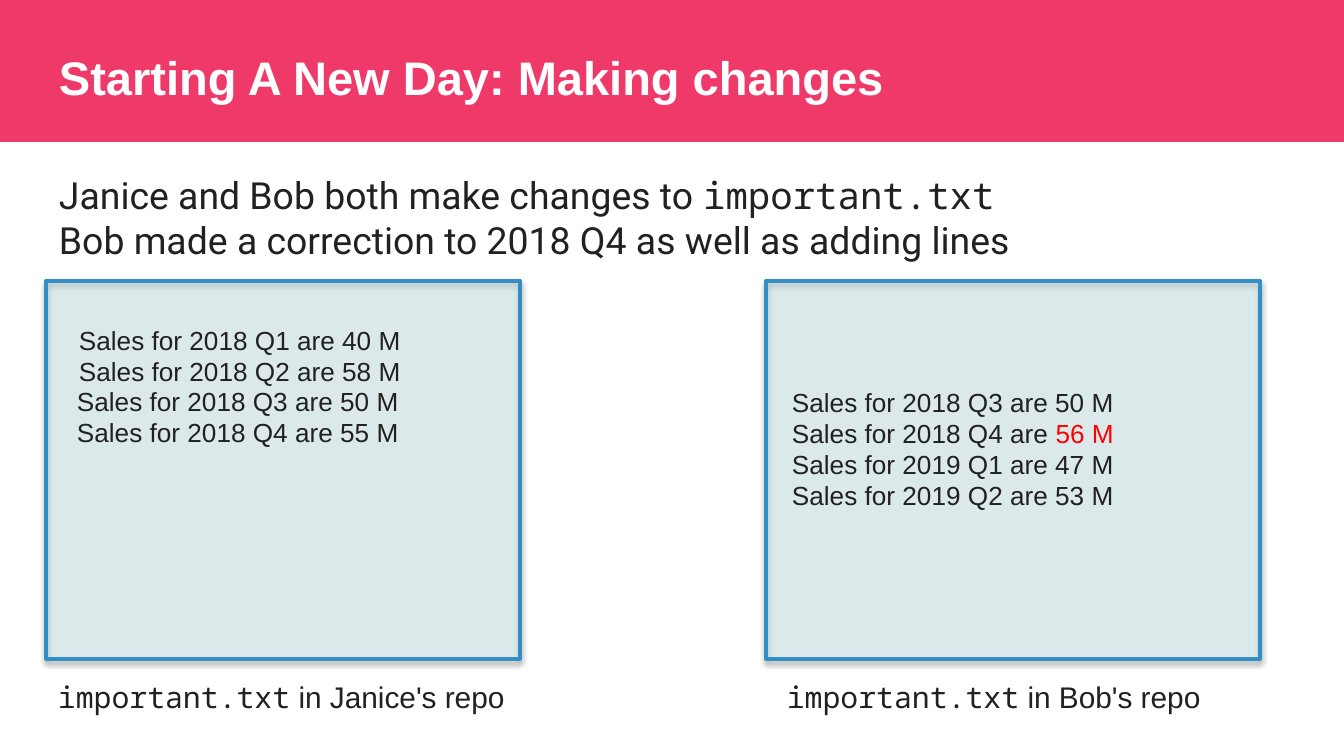
"""Build the slide on two people changing the same file in their repositories."""
import pptx
import pptx.dml.color
import pptx.enum.shapes
import pptx.enum.text
import pptx.oxml
import pptx.oxml.ns
import pptx.util

COLORS = {"banner": "EF3969", "panel": "B8ECF3", "border": "328EC4",
          "text": "212121", "title": "FFFFFF", "changed": "FF0000"}
SANS, BODY, MONO = "Arial", "Roboto", "Noto Sans Mono"
EMU_PER_PX = 914400 / 134.4
WIDTH, HEIGHT = 1344, 756

TITLE = "Starting A New Day: Making changes"
FILE_NAME = ("important.txt", {"font": MONO})
INTRO = [
    ["Janice and Bob both make changes to ", FILE_NAME],
    ["Bob made a correction to 2018 Q4 as well as adding lines"],
]
PANELS = [(766, 281, 494, 378), (46, 281, 474, 378)]
CAPTIONS = [
    ((51, 672, 469, 50), [[FILE_NAME, " in Janice's repo"]]),
    ((780, 672, 481, 50), [[FILE_NAME, " in Bob's repo"]]),
]
SALES = [
    ((70, 378), [["Sales for 2018 Q3 are 50 M"], ["Sales for 2018 Q4 are 55 M"]]),
    ((785, 379), [["Sales for 2018 Q3 are 50 M"],
                  ["Sales for 2018 Q4 are ", ("56 M", {"color": "changed"})]]),
    ((72, 317), [["Sales for 2018 Q1 are 40 M"], ["Sales for 2018 Q2 are 58 M"]]),
    ((785, 441), [["Sales for 2019 Q1 are 47 M"], ["Sales for 2019 Q2 are 53 M"]]),
]
SALES_SIZE = (474, 77)


def px(value):
    return pptx.util.Emu(round(value * EMU_PER_PX))


def rgb(name):
    return pptx.dml.color.RGBColor.from_string(COLORS[name])


def set_alpha(color_element, percent):
    alpha = pptx.oxml.ns.qn("a:alpha")
    color_element.append(color_element.makeelement(alpha, {"val": str(percent * 1000)}))


def write_text(shape, paragraphs, *, size, font=SANS, color="text", bold=False,
               insets=(7, 7), anchor=pptx.enum.text.MSO_ANCHOR.TOP):
    frame = shape.text_frame
    frame.word_wrap = True
    frame.auto_size = pptx.enum.text.MSO_AUTO_SIZE.NONE
    frame.vertical_anchor = anchor
    frame.margin_left = frame.margin_right = px(insets[0])
    frame.margin_top = frame.margin_bottom = px(insets[1])
    for index, runs in enumerate(paragraphs):
        paragraph = frame.add_paragraph() if index else frame.paragraphs[0]
        paragraph.alignment = pptx.enum.text.PP_ALIGN.LEFT
        for item in runs:
            text, changes = (item, {}) if isinstance(item, str) else item
            run = paragraph.add_run()
            run.text = text
            run.font.name = changes.get("font", font)
            run.font.size = pptx.util.Pt(size)
            run.font.bold = bold
            run.font.color.rgb = rgb(changes.get("color", color))


def add_text(slide, box, paragraphs, **text_format):
    shape = slide.shapes.add_textbox(*map(px, box))
    write_text(shape, paragraphs, **text_format)


def add_rectangle(slide, box, color):
    shape = slide.shapes.add_shape(
        pptx.enum.shapes.MSO_SHAPE.RECTANGLE, *map(px, box))
    shape.shadow.inherit = False
    shape.fill.solid()
    shape.fill.fore_color.rgb = rgb(color)
    shape.line.fill.background()
    return shape


def add_panel(slide, box):
    shape = add_rectangle(slide, box, "panel")
    shape.line.color.rgb = rgb("border")
    shape.line.width = pptx.util.Pt(2)
    properties = shape._element.spPr
    set_alpha(properties.find(pptx.oxml.ns.qn("a:solidFill"))[0], 25)
    shadow = pptx.oxml.parse_xml(
        f'<a:outerShdw {pptx.oxml.ns.nsdecls("a")} blurRad="38100" dist="22860" '
        'dir="5400000" rotWithShape="0"><a:srgbClr val="000000"/></a:outerShdw>')
    set_alpha(shadow[0], 35)
    properties.find(pptx.oxml.ns.qn("a:effectLst")).append(shadow)


def main():
    presentation = pptx.Presentation()
    presentation.slide_width, presentation.slide_height = px(WIDTH), px(HEIGHT)
    slide = presentation.slides.add_slide(presentation.slide_layouts[5])
    title = slide.shapes.title
    banner = add_rectangle(slide, (0, 0, WIDTH, 142), "banner")
    title._element.addprevious(banner._element)
    for box in PANELS:
        add_panel(slide, box)
    title.left, title.top, title.width, title.height = map(px, (46, 34, 1253, 85))
    write_text(title, [[TITLE]], size=25.2, color="title", bold=True,
               insets=(13, 13), anchor=pptx.enum.text.MSO_ANCHOR.MIDDLE)
    add_text(slide, (46, 165, 1235, 103), INTRO, size=20, font=BODY, insets=(13, 7))
    for box, paragraphs in CAPTIONS:
        add_text(slide, box, paragraphs, size=16)
    for position, paragraphs in SALES:
        add_text(slide, position + SALES_SIZE, paragraphs, size=14)
    presentation.save("out.pptx")


if __name__ == "__main__":
    main()
